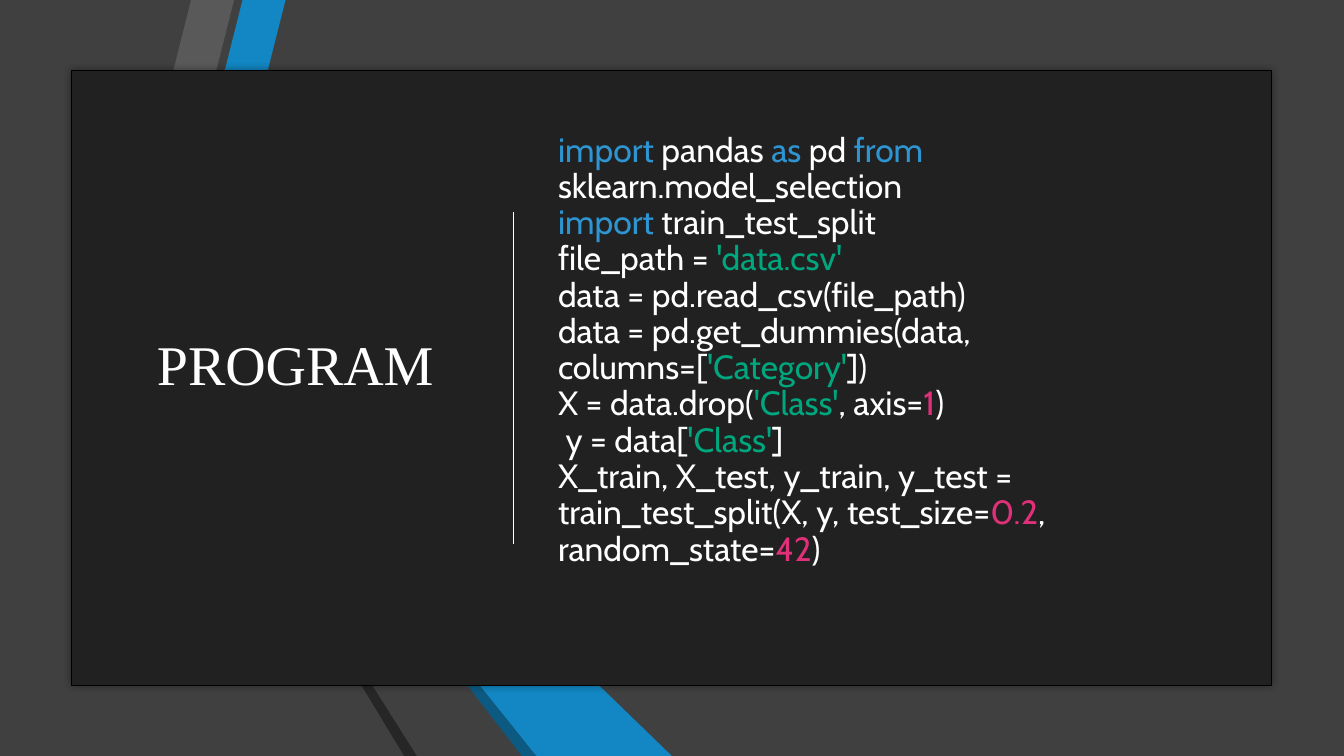
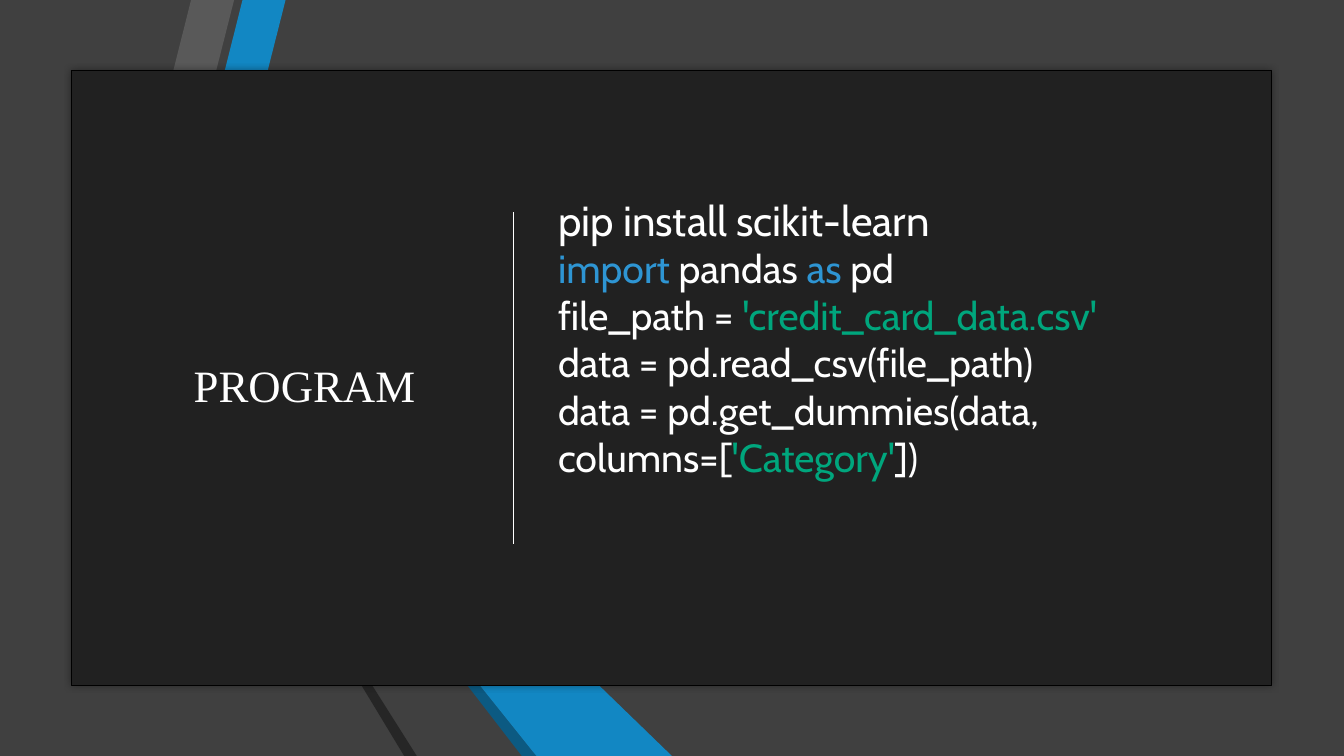
import pptx
import pptx.dml.color
import pptx.enum.shapes
import pptx.enum.text
import pptx.oxml
import pptx.oxml.ns
import pptx.util

PX = 9525
SLIDE_SIZE = (1280, 720)

BACKDROP = "404040"
PANEL = "212121"
WHITE = "FFFFFF"
BLACK = "000000"
KEYWORD = "2E95D3"
STRING = "00A67D"
NUMBER = "DF3079"

HEADING_FONT = "Times New Roman"
CODE_FONT = "Cabin"

# Bands that pass behind the panel: colour and corners.
RIBBONS = [
    ("1287C3", [(160, 282), (198, 292), (272, 0), (231, 0)]),
    ("595959", [(152, 280), (223, 0), (182, 0), (114, 271)]),
    ("262626", [(114, 272), (385, 720), (397, 720)]),
    ("0C5A82", [(160, 283), (497, 720), (511, 720)]),
    ("1287C3", [(160, 282), (511, 720), (640, 720), (198, 292)]),
]

DUMMIES_LINE = ["data = pd.get_dummies(data, columns=[", ("'Category'", STRING), "])"]
READ_LINE = ["data = pd.read_csv(file_path)"]

# A line is a list of plain strings (white) and (text, colour) pairs.
SPLIT_CODE = [
    [("import", KEYWORD), " pandas ", ("as", KEYWORD), " pd ", ("from ", KEYWORD),
     "sklearn.model_selection"],
    [("import ", KEYWORD), "train_test_split"],
    ["file_path = ", ("'data.csv'", STRING)],
    READ_LINE,
    DUMMIES_LINE,
    ["X = data.drop(", ("'Class'", STRING), ", axis=", ("1", NUMBER), ")"],
    [" y = data[", ("'Class'", STRING), "]"],
    ["X_train, X_test, y_train, y_test = train_test_split(X, y, test_size=",
     ("0.2", NUMBER), ", random_state=", ("42", NUMBER), ")"],
]
INSTALL_CODE = [
    ["pip install scikit-learn"],
    [("import", KEYWORD), " pandas ", ("as", KEYWORD), " pd"],
    ["file_path = ", ("'credit_card_data.csv'", STRING)],
    READ_LINE,
    DUMMIES_LINE,
]


def px(*lengths):
    return [pptx.util.Emu(length * PX) for length in lengths]


def rgb(hex_colour):
    return pptx.dml.color.RGBColor.from_string(hex_colour)


def paint(shape, colour):
    shape.fill.solid()
    shape.fill.fore_color.rgb = rgb(colour)
    shape.line.fill.background()
    shape.shadow.inherit = False


def add_ribbon(slide, colour, corners):
    outline = slide.shapes.build_freeform(*corners[0], scale=PX)
    outline.add_line_segments(corners[1:], close=True)
    paint(outline.convert_to_shape(), colour)


def add_panel(slide):
    panel = slide.shapes.add_shape(
        pptx.enum.shapes.MSO_SHAPE.RECTANGLE, *px(68, 67, 1143, 586))
    paint(panel, PANEL)
    panel.line.color.rgb = rgb(BLACK)
    panel.line.width = pptx.util.Pt(0.25)
    effects = panel._element.spPr.find(pptx.oxml.ns.qn("a:effectLst"))
    effects.append(pptx.oxml.parse_xml(
        f'<a:outerShdw {pptx.oxml.ns.nsdecls("a")} blurRad="{pptx.util.Pt(5)}">'
        f'<a:srgbClr val="{BLACK}"><a:alpha val="40000"/></a:srgbClr></a:outerShdw>'))


def add_divider(slide):
    divider = slide.shapes.add_connector(
        pptx.enum.shapes.MSO_CONNECTOR.STRAIGHT, *px(489, 202, 489, 518))
    divider.line.color.rgb = rgb(WHITE)
    divider.line.width = pptx.util.Pt(1.25)
    divider._element.spPr.append(
        pptx.oxml.parse_xml(f'<a:effectLst {pptx.oxml.ns.nsdecls("a")}/>'))


def add_text_frame(slide, box):
    frame = slide.shapes.add_textbox(*px(*box)).text_frame
    frame.word_wrap = True
    return frame


def add_heading(slide, box, text, size):
    heading = add_text_frame(slide, box).paragraphs[0]
    heading.text = text
    heading.font.name = HEADING_FONT
    heading.font.size = pptx.util.Pt(size)
    heading.font.color.rgb = rgb(WHITE)


def add_code(slide, box, lines, sizes, spacing):
    """Write one paragraph per code line, each at its own size in points."""
    frame = add_text_frame(slide, box)
    frame.vertical_anchor = pptx.enum.text.MSO_ANCHOR.MIDDLE
    for index, (line, size) in enumerate(zip(lines, sizes)):
        paragraph = frame.add_paragraph() if index else frame.paragraphs[0]
        paragraph.line_spacing = spacing
        paragraph.font.name = CODE_FONT
        paragraph.font.size = pptx.util.Pt(size)
        for token in line:
            text, colour = (token, WHITE) if isinstance(token, str) else token
            run = paragraph.add_run()
            run.text = text
            run.font.color.rgb = rgb(colour)


def add_program_slide(deck):
    """Add a slide with the shared backdrop, ribbons, panel and divider."""
    slide = deck.slides.add_slide(deck.slide_layouts[6])
    slide.background.fill.solid()
    slide.background.fill.fore_color.rgb = rgb(BACKDROP)
    for colour, corners in RIBBONS:
        add_ribbon(slide, colour, corners)
    add_panel(slide)
    add_divider(slide)
    return slide


def main():
    deck = pptx.Presentation()
    deck.slide_width, deck.slide_height = px(*SLIDE_SIZE)

    split = add_program_slide(deck)
    add_code(split, (522, 92, 634, 484), SPLIT_CODE, [24] * len(SPLIT_CODE), 0.9)
    add_heading(split, (140, 309, 309, 74), "PROGRAM", 40)

    install = add_program_slide(deck)
    install_sizes = [30] + [28] * (len(INSTALL_CODE) - 1)
    add_code(install, (522, 132, 634, 378), INSTALL_CODE, install_sizes, 1.0)
    add_heading(install, (175, 336, 235, 61), "PROGRAM", 32)

    deck.save("out.pptx")


if __name__ == "__main__":
    main()
